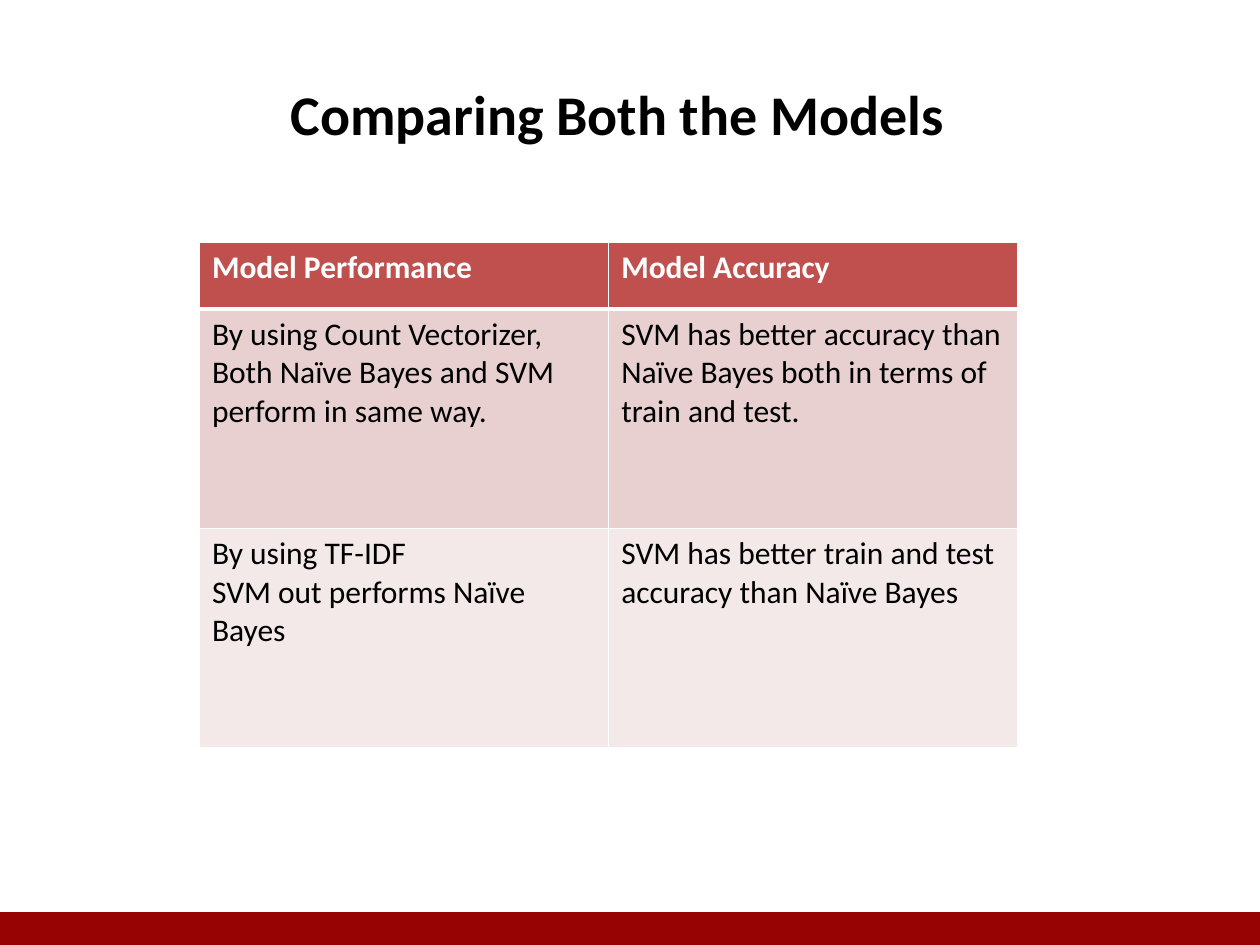
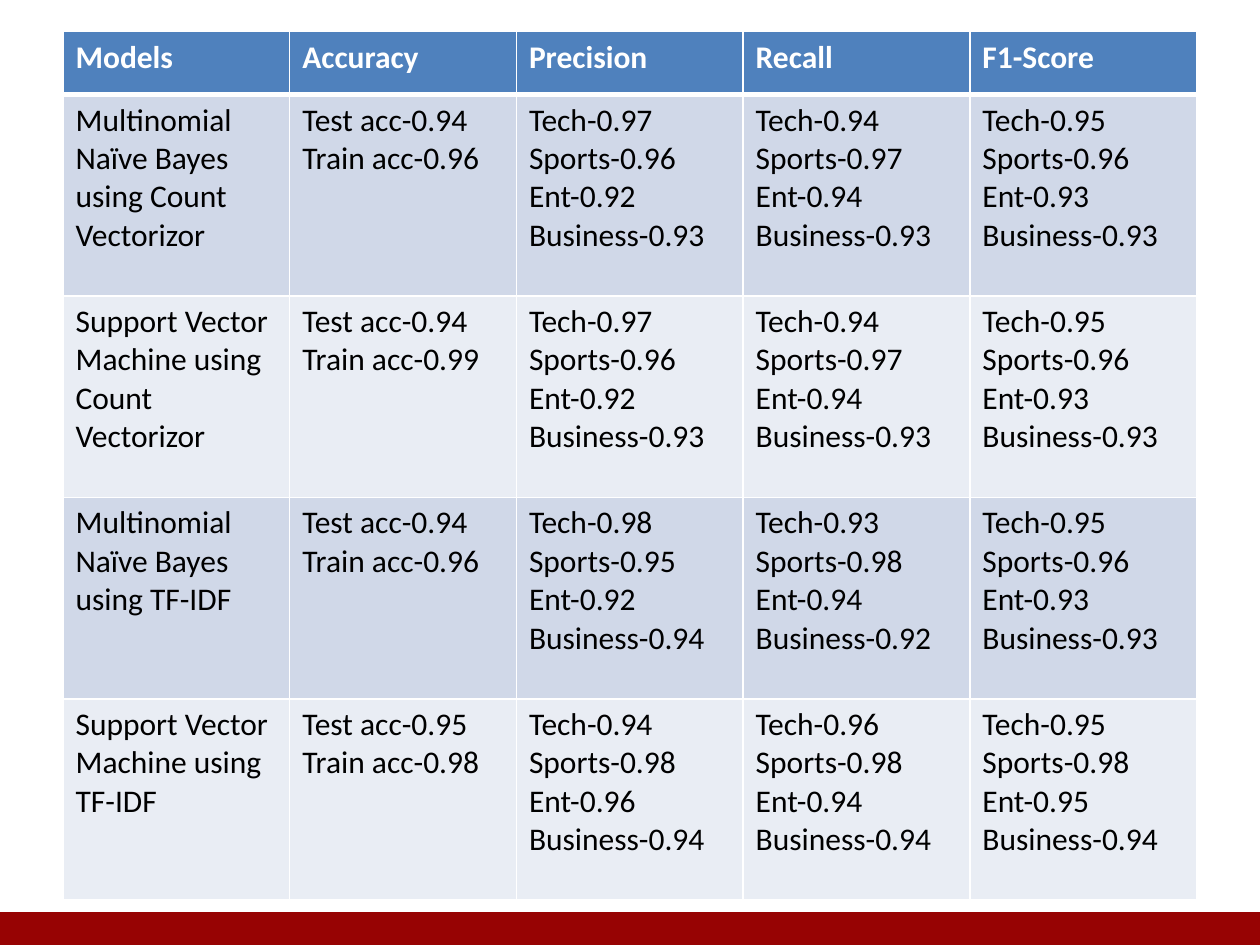
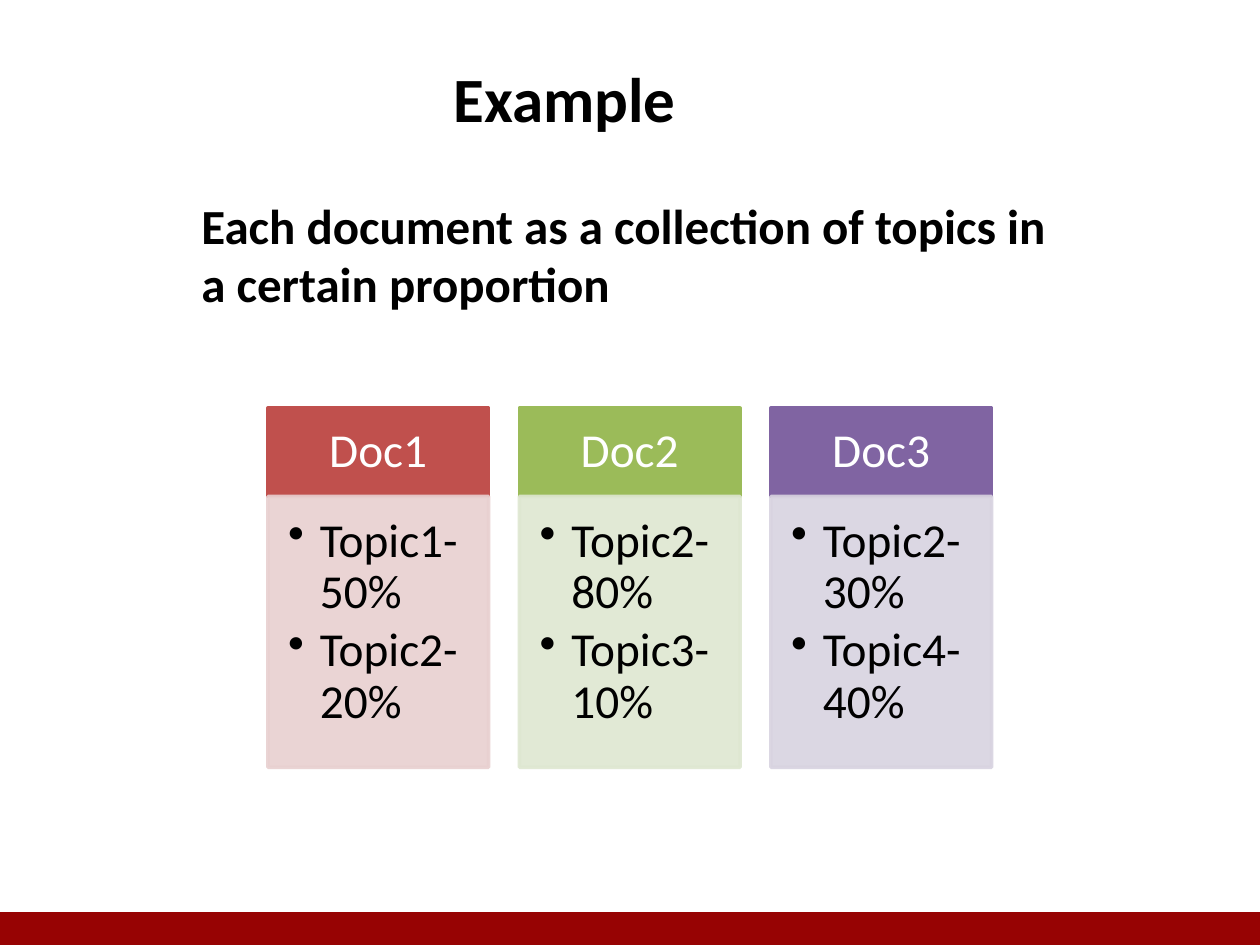
from lxml import etree
from pptx import Presentation
from pptx.dml.color import RGBColor
from pptx.enum.shapes import MSO_SHAPE
from pptx.enum.text import MSO_ANCHOR, PP_ALIGN
from pptx.oxml.ns import qn
from pptx.util import Cm, Pt

RECTANGLE = MSO_SHAPE.RECTANGLE
TOP, MIDDLE = MSO_ANCHOR.TOP, MSO_ANCHOR.MIDDLE
LEFT, CENTER = PP_ALIGN.LEFT, PP_ALIGN.CENTER

# Shared style
FONT = "Calibri"
BLACK, WHITE, BAND_RED = "000000", "FFFFFF", "970303"
RED_TABLE = ("C0504D", "E8D0D0", "F4E9E9")   # header, odd rows, even rows
BLUE_TABLE = ("4F81BD", "D0D8E8", "E9EDF4")
SLIDE_WIDTH, SLIDE_HEIGHT, BAND_HEIGHT = 25.4, 19.05, 0.63

# Content
COMPARISON = [
    ["Model Performance", "Model Accuracy"],
    ["By using Count Vectorizer,\nBoth Naïve Bayes and SVM perform in same way.",
     "SVM has better accuracy than Naïve Bayes both in terms of train and test."],
    ["By using TF-IDF\nSVM out performs Naïve Bayes",
     "SVM has better train and test accuracy than Naïve Bayes"],
]
SCORE_HEADER = ["Models", "Accuracy", "Precision", "Recall", "F1-Score"]
ACCURACY_LABELS = ["Test acc", "Train acc"]
TOPIC_LABELS = ["Tech", "Sports", "Ent", "Business"]
SCORES = [  # model, accuracy, then precision, recall and F1 by topic
    ("Multinomial Naïve Bayes using Count Vectorizor", (0.94, 0.96),
     (0.97, 0.96, 0.92, 0.93), (0.94, 0.97, 0.94, 0.93), (0.95, 0.96, 0.93, 0.93)),
    ("Support Vector Machine using Count\nVectorizor", (0.94, 0.99),
     (0.97, 0.96, 0.92, 0.93), (0.94, 0.97, 0.94, 0.93), (0.95, 0.96, 0.93, 0.93)),
    ("Multinomial Naïve Bayes using TF-IDF", (0.94, 0.96),
     (0.98, 0.95, 0.92, 0.94), (0.93, 0.98, 0.94, 0.92), (0.95, 0.96, 0.93, 0.93)),
    ("Support Vector Machine using\nTF-IDF", (0.95, 0.98),
     (0.94, 0.98, 0.96, 0.94), (0.96, 0.98, 0.94, 0.94), (0.95, 0.98, 0.95, 0.94)),
]
DOCUMENTS = [  # name, topics, header colour, body colour
    ("Doc1", "Topic1-50%\nTopic2-20%", "C0504D", "E8D0D0"),
    ("Doc2", "Topic2-80%\nTopic3-10%", "9BBB59", "DEE7D1"),
    ("Doc3", "Topic2-30%\nTopic4-40%", "8064A2", "D8D3E0"),
]


def rgb(value):
    return RGBColor.from_string(value)


def add_bullet(para, indent):
    properties = para._p.get_or_add_pPr()
    properties.set("marL", str(Cm(indent)))
    properties.set("indent", str(-Cm(indent)))
    etree.SubElement(properties, qn("a:buChar")).set("char", "•")


def write_text(frame, text, size=18, color=BLACK, bold=False, align=LEFT,
               line_spacing=None, space_after=0, bullet_indent=None):
    frame.word_wrap = True
    for index, line in enumerate(text.split("\n")):
        para = frame.add_paragraph() if index else frame.paragraphs[0]
        para.alignment = align
        para.space_after = Pt(space_after)
        if line_spacing:
            para.line_spacing = line_spacing
        if bullet_indent:
            add_bullet(para, bullet_indent)
        span = para.add_run()
        span.text = line
        span.font.name, span.font.size, span.font.bold = FONT, Pt(size), bold
        span.font.color.rgb = rgb(color)


def add_text_box(page, place, text, **text_format):
    box = page.shapes.add_textbox(*map(Cm, place))
    write_text(box.text_frame, text, **text_format)


def add_rectangle(page, place, fill, opacity=100):
    box = page.shapes.add_shape(RECTANGLE, *map(Cm, place))
    box.shadow.inherit = False
    box.fill.solid()
    box.fill.fore_color.rgb = rgb(fill)
    box.line.color.rgb = rgb(fill)
    box.line.width = Pt(2)
    if opacity < 100:
        for paint in box._element.spPr.iter(qn("a:srgbClr")):
            etree.SubElement(paint, qn("a:alpha")).set("val", str(opacity * 1000))
    return box


def add_page(deck):
    page = deck.slides.add_slide(deck.slide_layouts[6])
    add_rectangle(page, (0, SLIDE_HEIGHT - BAND_HEIGHT, SLIDE_WIDTH, BAND_HEIGHT), BAND_RED)
    return page


def set_borders(cell, top, bottom):
    properties = cell._tc.get_or_add_tcPr()
    for side, width in (("L", 1), ("R", 1), ("T", top), ("B", bottom)):
        line = etree.SubElement(properties, qn(f"a:ln{side}"), w=str(Pt(width)))
        paint = etree.SubElement(line, qn("a:solidFill"))
        etree.SubElement(paint, qn("a:srgbClr")).set("val", WHITE)


def add_grid(page, left, top, column_width, header_height, row_height, rows, colors):
    header_color, *row_colors = colors
    column_count = len(rows[0])
    height = header_height + row_height * (len(rows) - 1)
    table = page.shapes.add_table(len(rows), column_count, Cm(left), Cm(top),
                                  Cm(column_width * column_count), Cm(height)).table
    for row_index, texts in enumerate(rows):
        is_header = row_index == 0
        table.rows[row_index].height = Cm(header_height if is_header else row_height)
        fill = header_color if is_header else row_colors[(row_index - 1) % 2]
        for column_index, text in enumerate(texts):
            cell = table.cell(row_index, column_index)
            set_borders(cell, top=3 if row_index == 1 else 1, bottom=3 if is_header else 1)
            cell.fill.solid()
            cell.fill.fore_color.rgb = rgb(fill)
            write_text(cell.text_frame, text, color=WHITE if is_header else BLACK,
                       bold=is_header)


def label_scores(labels, values):
    return "\n".join(f"{label}-{value:.2f}" for label, value in zip(labels, values))


def add_card_part(page, place, fill, text, margins, anchor, opacity=100, **text_format):
    box = add_rectangle(page, place, fill, opacity)
    frame = box.text_frame
    frame.margin_left, frame.margin_top, frame.margin_right, frame.margin_bottom = map(Cm, margins)
    frame.vertical_anchor = anchor
    write_text(frame, text, size=27, line_spacing=0.9, **text_format)


def build_comparison(deck):
    page = add_page(deck)
    add_grid(page, 4.02, 4.88, 8.25, 1.35, 4.42, COMPARISON, RED_TABLE)
    add_text_box(page, (5.61, 1.47, 14.17, 1.62), "Comparing Both the Models",
                 size=32, bold=True)


def build_scores(deck):
    page = add_page(deck)
    rows = [SCORE_HEADER]
    for model, accuracy, *topic_scores in SCORES:
        rows.append([model, label_scores(ACCURACY_LABELS, accuracy)]
                    + [label_scores(TOPIC_LABELS, values) for values in topic_scores])
    add_grid(page, 1.27, 0.64, 4.57, 1.27, 4.06, rows, BLUE_TABLE)


def build_example(deck):
    page = add_page(deck)
    first_left, pitch, width = 5.4, 5.07, 4.45
    top, header_height, body_height = 8.23, 1.78, 5.46
    for index, (name, topics, header_color, body_color) in enumerate(DOCUMENTS):
        left = first_left + index * pitch
        add_card_part(page, (left, top, width, header_height), header_color, name,
                      (0.53, 0.3, 0.53, 0.3), MIDDLE, color=WHITE, align=CENTER)
        add_card_part(page, (left, top + header_height, width, body_height), body_color, topics,
                      (0.41, 0.41, 0.53, 0.61), TOP, opacity=90,
                      space_after=4, bullet_indent=0.64)
    add_text_box(page, (3.81, 3.81, 17.78, 2.64),
                 "Each document as a collection of topics in a certain proportion",
                 size=28, bold=True)
    add_text_box(page, (8.89, 1.07, 8.69, 1.8), "Example", size=36, bold=True)


def main():
    deck = Presentation()
    deck.slide_width, deck.slide_height = Cm(SLIDE_WIDTH), Cm(SLIDE_HEIGHT)
    build_comparison(deck)
    build_scores(deck)
    build_example(deck)
    deck.save("out.pptx")


if __name__ == "__main__":
    main()
